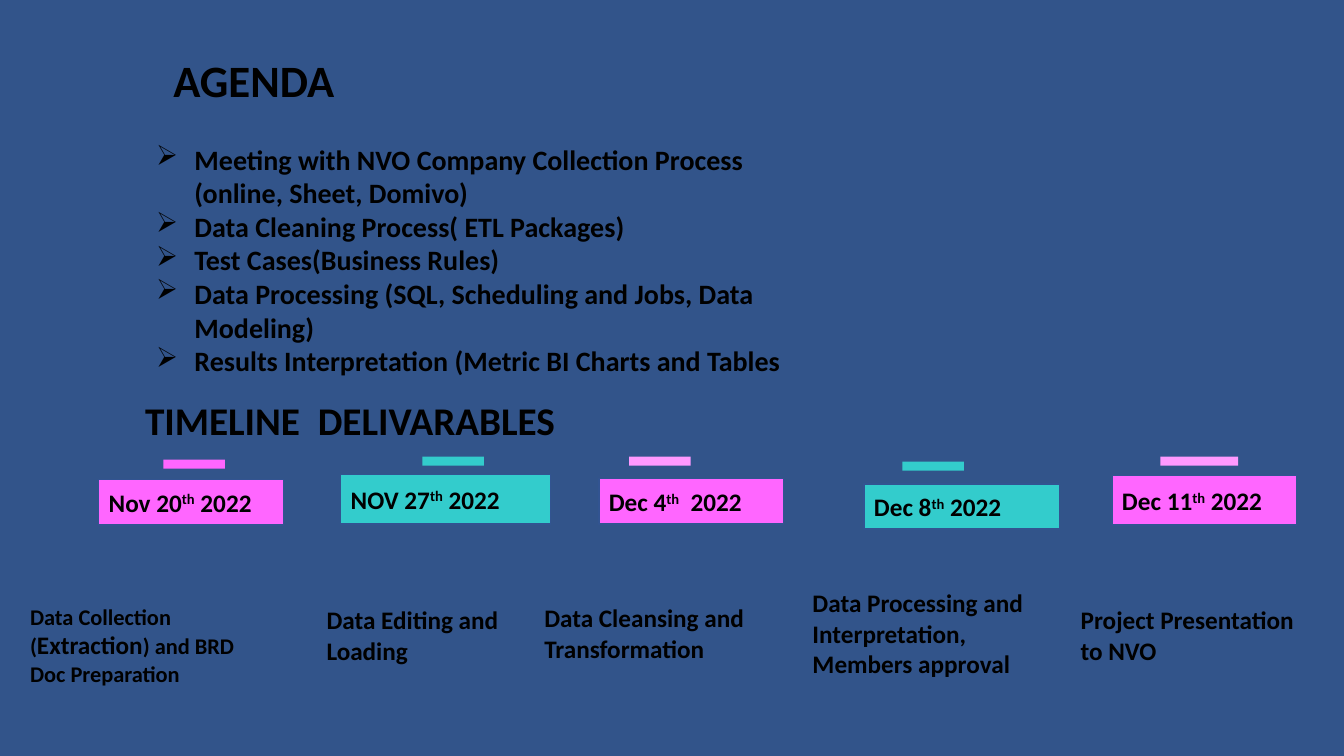
import pptx
import pptx.util
import pptx.dml.color
import pptx.enum.shapes
import pptx.enum.text
from lxml import etree

Inches, Pt = pptx.util.Inches, pptx.util.Pt
MIDDLE = pptx.enum.text.MSO_ANCHOR.MIDDLE
COLORS = {"back": "32548A", "text": "000000", "pink": "FF66FF",
          "teal": "33CCCC", "light": "FF99FF", "edge": "325491"}

AGENDA = ["Meeting with NVO Company Collection Process (online, Sheet, Domivo)",
          "Data Cleaning Process( ETL Packages)",
          "Test Cases(Business Rules)",
          "Data Processing (SQL, Scheduling and Jobs, Data Modeling)",
          "Results Interpretation (Metric BI Charts and Tables"]

# Each milestone: marker box and colour, date box and colour, date parts,
# note box and paragraphs of (text, size) runs
MILESTONES = [
    ((1.62, 4.56, 0.61, 0.09), "pink", (0.98, 4.76, 1.83, 0.45), "pink",
     ("Nov 20", " 2022"), (0.2, 5.93, 2.37, 0.94),
     [[("Data Collection (", 16), ("Extraction", 18),
       (") and BRD Doc Preparation", 16)]]),
    ((4.19, 4.53, 0.61, 0.09), "teal", (3.38, 4.71, 2.08, 0.49), "teal",
     ("NOV 27", " 2022"), (3.14, 5.95, 2.08, 0.71),
     [[("Data Editing and Loading", 18)]]),
    ((6.24, 4.53, 0.61, 0.09), "light", (5.94, 4.75, 1.83, 0.45), "pink",
     ("Dec 4", "  2022"), (5.3, 5.93, 2.37, 0.71),
     [[("Data Cleansing and Transformation", 18)]]),
    ((8.95, 4.58, 0.61, 0.09), "teal", (8.57, 4.8, 1.94, 0.45), "teal",
     ("Dec 8", " 2022"), (7.96, 5.78, 2.78, 1.01),
     [[("Data Processing and Interpretation,", 18)],
      [("Members approval", 18)]]),
    ((11.51, 4.53, 0.77, 0.09), "light", (11.03, 4.72, 1.83, 0.49), "pink",
     ("Dec 11", " 2022"), (10.62, 5.95, 2.52, 0.71),
     [[("Project Presentation to NVO", 18)]]),
]


def rgb(name):
    return pptx.dml.color.RGBColor.from_string(COLORS[name])


def style(p, size):
    p.font.name = "Calibri"
    p.font.size = Pt(size)
    p.font.bold = True
    p.font.color.rgb = rgb("text")


def add_text(s, box, paragraphs):
    """Add a wrapped text box; each paragraph is a list of (text, size)."""
    tf = s.shapes.add_textbox(*map(Inches, box)).text_frame
    tf.word_wrap = True
    for i, runs in enumerate(paragraphs):
        p = tf.add_paragraph() if i else tf.paragraphs[0]
        style(p, runs[0][1])
        for text, size in runs:
            r = p.add_run()
            r.text = text
            if size != runs[0][1]:
                r.font.size = Pt(size)
    return tf


def add_bar(s, box, color):
    sp = s.shapes.add_shape(pptx.enum.shapes.MSO_SHAPE.RECTANGLE,
                            *map(Inches, box))
    sp.shadow.inherit = False
    sp.fill.solid()
    sp.fill.fore_color.rgb = rgb(color)
    sp.line.fill.background()
    return sp


def add_date(s, box, color, day, year):
    sp = add_bar(s, box, color)
    sp.line.color.rgb = rgb("edge")
    sp.line.width = Pt(1)
    tf = sp.text_frame
    tf.word_wrap = True
    tf.vertical_anchor = MIDDLE
    p = tf.paragraphs[0]
    p.alignment = pptx.enum.text.PP_ALIGN.LEFT
    style(p, 18)
    for text in (day, "th", year):
        r = p.add_run()
        r.text = text
        if text == "th":
            r.font._element.set("baseline", "30000")


def add_agenda(s, box):
    left, top, width, height = box
    add_text(s, (left + 0.17, top, width, 0.64), [[("AGENDA", 32)]])
    tf = add_text(s, (left, top + 0.89, width, height - 0.89),
                  [[(item, 20)] for item in AGENDA])
    for p in tf.paragraphs:
        pPr = p._p.get_or_add_pPr()
        pPr.set("marL", str(Inches(0.38)))
        pPr.set("indent", str(-Inches(0.38)))
        bullet = etree.Element(pptx.oxml.ns.qn("a:buChar"), char="➢")
        pPr.insert_element_before(bullet, "a:tabLst", "a:defRPr", "a:extLst")


def add_timeline(s, box):
    # Boxes of the milestones are given on the slide, shifted to this region
    left, top, width, height = box
    tf = add_text(s, (left + 1.14, top, 9.4, 0.52),
                  [[("TIMELINE  DELIVARABLES", 28)]])
    tf.vertical_anchor = MIDDLE
    tf.paragraphs[0].line_spacing = 0.9

    def place(x, y, w, h):
        return left + x - 0.2, top + y - 3.93, w, h

    for marker, shade, date, color, parts, note, paragraphs in MILESTONES:
        add_bar(s, place(*marker), shade)
        add_date(s, place(*date), color, *parts)
        add_text(s, place(*note), paragraphs)


def main():
    prs = pptx.Presentation()
    prs.slide_width, prs.slide_height = Inches(13.33), Inches(7.5)
    s = prs.slides.add_slide(prs.slide_layouts[6])
    s.background.fill.solid()
    s.background.fill.fore_color.rgb = rgb("back")
    add_agenda(s, (1.45, 0.47, 6.69, 3.35))
    add_timeline(s, (0.2, 3.93, 12.94, 2.94))
    prs.save("out.pptx")


if __name__ == "__main__":
    main()
